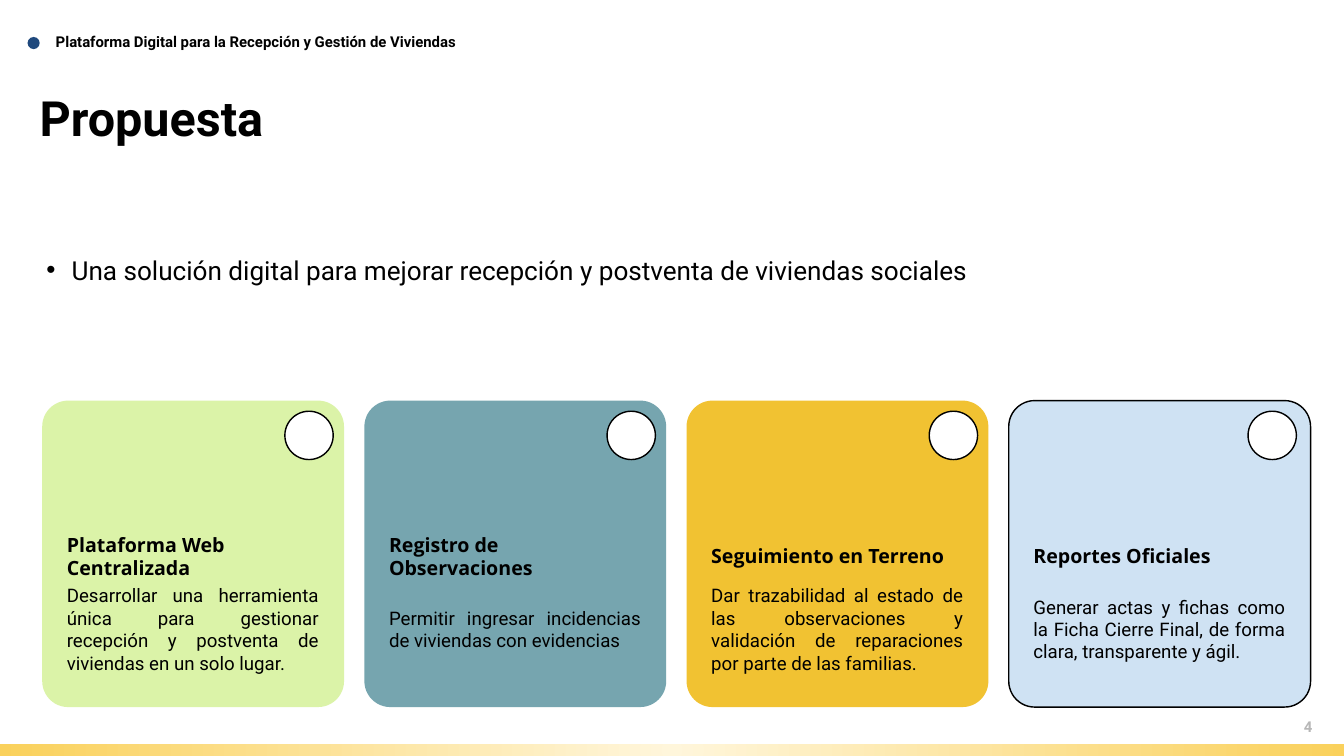
from lxml.etree import SubElement
from pptx import Presentation
from pptx.dml.color import RGBColor
from pptx.enum.shapes import MSO_SHAPE
from pptx.enum.text import MSO_ANCHOR, MSO_AUTO_SIZE, PP_ALIGN
from pptx.oxml.ns import qn
from pptx.util import Pt

# Card grid, in points
CARD_LEFT, CARD_TOP = 45.2, 429.2
CARD_WIDTH, CARD_HEIGHT = 323.4, 328.4
CARD_PITCH = 345.2
CIRCLE_SIZE = 51.8

# Heading, text, fill, outline, circle offset
CARDS = [
    ("Plataforma Web Centralizada",
     "Desarrollar una herramienta única para gestionar recepción y postventa "
     "de viviendas en un solo lugar.", "DBF3A8", None, 260),
    ("Registro de Observaciones",
     "Permitir ingresar incidencias de viviendas con evidencias",
     "76A5AF", None, 260),
    ("Seguimiento en Terreno",
     "Dar trazabilidad al estado de las observaciones y validación de "
     "reparaciones por parte de las familias.", "F1C232", None, 260),
    ("Reportes Oficiales",
     "Generar actas y fichas como la Ficha Cierre Final, de forma clara, "
     "transparente y ágil.", "CFE2F3", "000000", 256.4),
]


def color(hex_code):
    return RGBColor.from_string(hex_code)


def place(shape, left, top, width, height):
    shape.left, shape.top = Pt(left), Pt(top)
    shape.width, shape.height = Pt(width), Pt(height)


def write(shape, text, size, font="Roboto", bold=False, hex_code="000000",
          align=PP_ALIGN.LEFT, anchor=MSO_ANCHOR.TOP, insets=(0, 0, 0, 0)):
    frame = shape.text_frame
    frame.text = text
    frame.word_wrap = True
    frame.auto_size = MSO_AUTO_SIZE.NONE
    frame.vertical_anchor = anchor
    (frame.margin_left, frame.margin_top,
     frame.margin_right, frame.margin_bottom) = map(Pt, insets)
    paragraph = frame.paragraphs[0]
    paragraph.alignment = align
    paragraph.space_before = Pt(0)
    paragraph.font.name = font
    paragraph.font.size = Pt(size)
    paragraph.font.bold = bold
    paragraph.font.color.rgb = color(hex_code)


def add_text(slide, box, text, size, **style):
    write(slide.shapes.add_textbox(*map(Pt, box)), text, size, **style)


def add_figure(slide, kind, box, fill, outline=None):
    figure = slide.shapes.add_shape(kind, *map(Pt, box))
    figure.shadow.inherit = False
    figure.fill.solid()
    figure.fill.fore_color.rgb = color(fill)
    if outline:
        figure.line.color.rgb = color(outline)
        figure.line.width = Pt(1.5)
    else:
        figure.line.fill.background()
    return figure


def add_card(slide, left, heading, detail, fill, outline, circle_offset):
    card = add_figure(slide, MSO_SHAPE.ROUNDED_RECTANGLE,
                      (left, CARD_TOP, CARD_WIDTH, CARD_HEIGHT), fill, outline)
    card.adjustments[0] = 0.086
    add_figure(slide, MSO_SHAPE.OVAL,
               (left + circle_offset, 440.6, CIRCLE_SIZE, CIRCLE_SIZE),
               "FFFFFF", "000000")
    centred = {"anchor": MSO_ANCHOR.MIDDLE, "insets": (14.4,) * 4}
    add_text(slide, (left + 12, 573.8, 298.8, 44), heading, 21,
             font="Open Sans", bold=True, **centred)
    add_text(slide, (left + 12, 633.6, 298.8, 80.6), detail, 20,
             align=PP_ALIGN.JUSTIFY, **centred)


def add_gradient_band(slide, box, centre, edge):
    band = add_figure(slide, MSO_SHAPE.RECTANGLE, box, edge)
    band.fill.gradient()
    for stop, hex_code in zip(band.fill.gradient_stops, (centre, edge)):
        stop.color.rgb = color(hex_code)
    # Radial gradient from the middle
    gradient = band.fill._xPr.find(qn("a:gradFill"))
    gradient.remove(gradient.find(qn("a:lin")))
    radial = SubElement(gradient, qn("a:path"), path="circle")
    SubElement(radial, qn("a:fillToRect"),
               l="50000", t="50000", r="50000", b="50000")


def add_headings(slide):
    title = slide.shapes.title
    place(title, 42.5, 89.3, 646.6, 138.2)
    write(title, "Propuesta", 52, bold=True, insets=(0, 5, 0, 0))

    summary = slide.placeholders[1]
    place(summary, 49.7, 267.1, 1004.4, 121.7)
    properties = summary.text_frame.paragraphs[0]._p.get_or_add_pPr()
    properties.set("marL", "0")
    properties.set("indent", "0")
    SubElement(properties, qn("a:buNone"))
    write(summary, "Una solución digital para mejorar recepción y postventa "
          "de viviendas sociales", 28, insets=(0, 5, 0, 0))


def main():
    deck = Presentation()
    deck.slide_width, deck.slide_height = Pt(1440), Pt(810)
    slide = deck.slides.add_slide(deck.slide_layouts[1])

    # Running header
    add_figure(slide, MSO_SHAPE.OVAL, (29.5, 39.6, 13, 13), "1F497D")
    add_text(slide, (58.3, 33.8, 462.2, 26.6),
             "Plataforma Digital para la Recepción y Gestión de Viviendas",
             16, bold=True, insets=(1.4,) * 4)

    add_headings(slide)

    # Four proposal cards
    for index, card in enumerate(CARDS):
        add_card(slide, CARD_LEFT + index * CARD_PITCH, *card)

    # Page number and bottom band
    add_text(slide, (1350, 766, 59, 26.6), "4", 16, bold=True,
             hex_code="B7B7B7", align=PP_ALIGN.RIGHT, insets=(2.9,) * 4)
    add_gradient_band(slide, (0, 797.5, 1440, 12.5), "FFF6DB", "FAD15C")

    deck.save("out.pptx")


if __name__ == "__main__":
    main()
